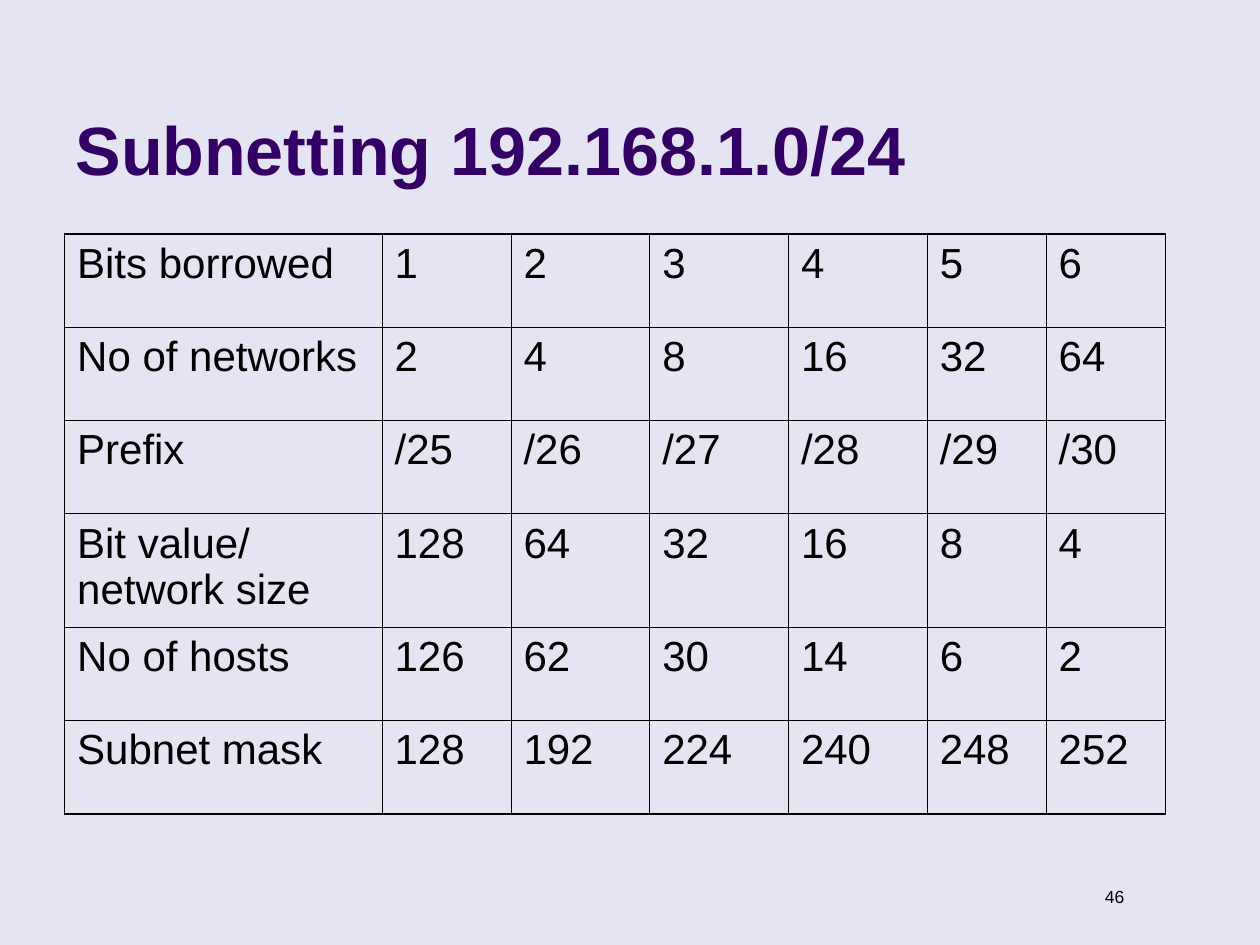
from dataclasses import dataclass
from typing import Any

from lxml.etree import SubElement
from pptx import Presentation
from pptx.dml.color import RGBColor
from pptx.enum.text import MSO_ANCHOR, MSO_AUTO_SIZE, PP_ALIGN
from pptx.oxml.ns import qn
from pptx.util import Pt

BACKGROUND = RGBColor(0xE4, 0xE4, 0xF2)
PURPLE = RGBColor(0x33, 0x00, 0x66)
BLACK = RGBColor(0x00, 0x00, 0x00)

OUTER_BORDER = Pt(1.08)
INNER_BORDER = Pt(0.45)
COLUMN_WIDTHS = (181.4, 73.7, 79.3, 79.3, 79.3, 68, 68.2)
FRAME_FORMAT = {
    "margin_left": Pt(7.2),
    "margin_right": Pt(7.2),
    "margin_top": Pt(3.6),
    "margin_bottom": Pt(3.6),
}


@dataclass(frozen=True)
class SubnetRow:
    label: str
    values: tuple[str, ...]
    height: float = 53.3


ROWS = (
    SubnetRow("Bits borrowed", ("1", "2", "3", "4", "5", "6")),
    SubnetRow("No of networks", ("2", "4", "8", "16", "32", "64")),
    SubnetRow("Prefix", ("/25", "/26", "/27", "/28", "/29", "/30")),
    SubnetRow("Bit value/ network size", ("128", "64", "32", "16", "8", "4"), 64.7),
    SubnetRow("No of hosts", ("126", "62", "30", "14", "6", "2")),
    SubnetRow("Subnet mask", ("128", "192", "224", "240", "248", "252")),
)


def apply_format(target: Any, values: dict[str, Any]) -> None:
    for name, value in values.items():
        setattr(target, name, value)


def write_text(frame: Any, text: str, size: float, color: RGBColor,
               bold: bool = False, alignment: PP_ALIGN = PP_ALIGN.LEFT) -> None:
    para = frame.paragraphs[0]
    para.alignment = alignment
    span = para.add_run()
    span.text = text
    apply_format(span.font, {"name": "Arial", "size": Pt(size), "bold": bold})
    span.font.color.rgb = color


def set_borders(cell: Any, widths: dict[str, int]) -> None:
    properties = cell._tc.get_or_add_tcPr()
    for position, (side, width) in enumerate(widths.items()):
        line = SubElement(properties, qn(f"a:ln{side}"), w=str(int(width)))
        fill = SubElement(line, qn("a:solidFill"))
        SubElement(fill, qn("a:srgbClr"), val=str(BLACK))
        properties.insert(position, line)


def draw_title(page: Any, text: str) -> None:
    title = page.shapes.title
    apply_format(title, {"left": Pt(36), "top": Pt(9.4),
                         "width": Pt(594), "height": Pt(102.2)})
    apply_format(title.text_frame, FRAME_FORMAT | {
        "vertical_anchor": MSO_ANCHOR.BOTTOM,
        "auto_size": MSO_AUTO_SIZE.NONE,
        "word_wrap": True,
    })
    write_text(title.text_frame, text, 39, PURPLE, bold=True)


def draw_subnet_table(page: Any, rows: tuple[SubnetRow, ...]) -> None:
    table = page.shapes.add_table(
        len(rows), len(COLUMN_WIDTHS), Pt(36.9), Pt(133.7),
        Pt(sum(COLUMN_WIDTHS)), Pt(sum(row.height for row in rows)),
    ).table
    apply_format(table, {"first_row": False, "horz_banding": False})
    for column, width in zip(table.columns, COLUMN_WIDTHS):
        column.width = Pt(width)
    last_row, last_column = len(rows) - 1, len(COLUMN_WIDTHS) - 1
    for row_index, row in enumerate(rows):
        table.rows[row_index].height = Pt(row.height)
        for column_index, text in enumerate((row.label, *row.values)):
            cell = table.cell(row_index, column_index)
            apply_format(cell, FRAME_FORMAT | {"vertical_anchor": MSO_ANCHOR.TOP})
            cell.fill.background()
            write_text(cell.text_frame, text, 24, BLACK)
            edges = {
                "L": column_index == 0,
                "R": column_index == last_column,
                "T": row_index == 0,
                "B": row_index == last_row,
            }
            set_borders(cell, {side: OUTER_BORDER if outer else INNER_BORDER
                               for side, outer in edges.items()})


def draw_page_number(page: Any, number: str) -> None:
    box = page.shapes.add_textbox(Pt(604.1), Pt(502.6), Pt(45.4), Pt(19.4))
    apply_format(box.text_frame, FRAME_FORMAT | {"word_wrap": True})
    write_text(box.text_frame, number, 10, BLACK, alignment=PP_ALIGN.RIGHT)


def main() -> None:
    deck = Presentation()
    apply_format(deck, {"slide_width": Pt(720), "slide_height": Pt(540)})
    page = deck.slides.add_slide(deck.slide_layouts[5])
    page.background.fill.solid()
    page.background.fill.fore_color.rgb = BACKGROUND
    draw_page_number(page, "46")
    draw_title(page, "Subnetting 192.168.1.0/24")
    draw_subnet_table(page, ROWS)
    deck.save("out.pptx")


if __name__ == "__main__":
    main()
